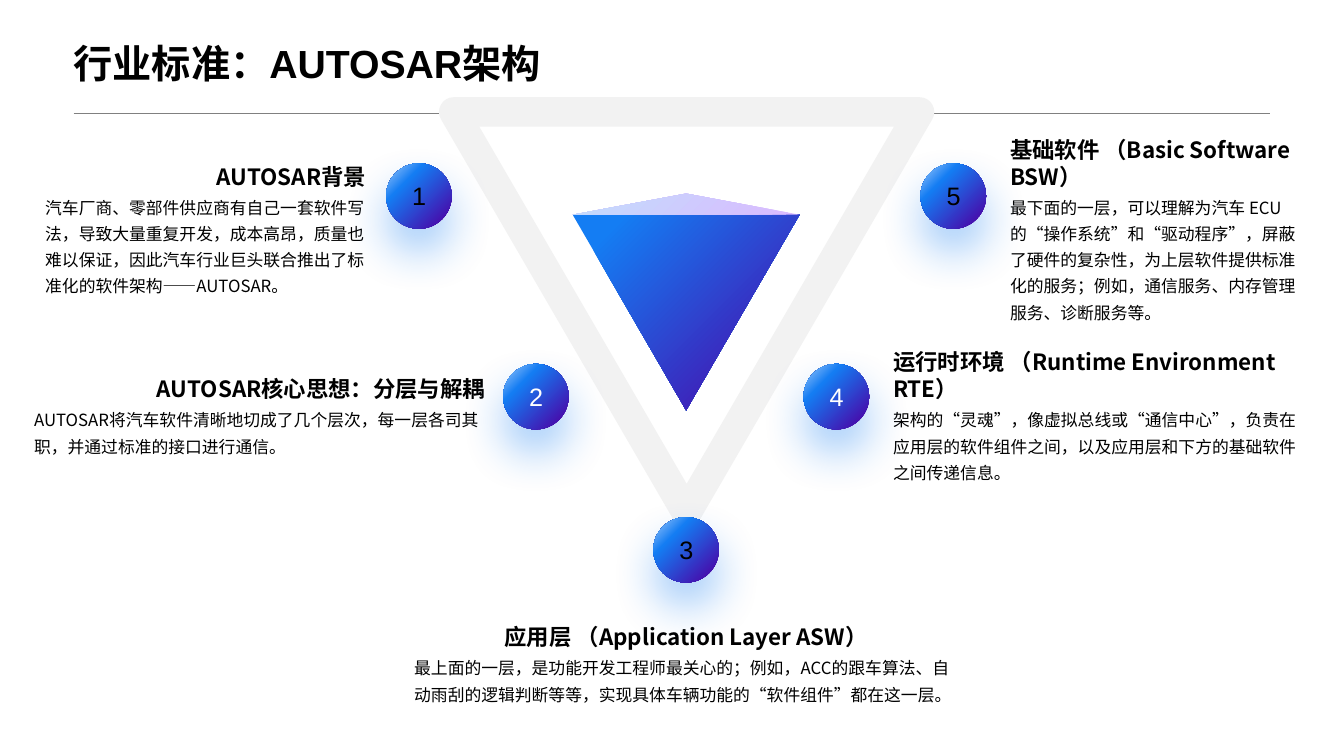
from lxml import etree
from pptx import Presentation
from pptx.dml.color import RGBColor
from pptx.enum import shapes, text
from pptx.oxml import parse_xml
from pptx.oxml.ns import nsdecls, qn
from pptx.util import Inches, Pt

BLACK = RGBColor(0x00, 0x00, 0x00)
WHITE = RGBColor(0xFF, 0xFF, 0xFF)
PALE_GREY = RGBColor(0xF2, 0xF2, 0xF2)
RULE_GREY = RGBColor(0x80, 0x80, 0x80)
LIGHT_BLUE = RGBColor(0xA6, 0xCE, 0xFA)
BLUE = RGBColor(0x14, 0x7D, 0xF3)
PURPLE = RGBColor(0x4D, 0x00, 0xA4)
LILAC = RGBColor(0xDA, 0xBA, 0xFF)
SKY = RGBColor(0xC2, 0xDD, 0xFC)

CJK_FONT = "Noto Sans CJK SC"
BALL = 0.65
RIGHT, CENTER, LEFT = text.PP_ALIGN.RIGHT, text.PP_ALIGN.CENTER, text.PP_ALIGN.LEFT

# number, number colour, ball position, text box (left, top, width, height), heading alignment, texts
TOPICS = [
    ("1", BLACK, (3.83, 1.62), (0.35, 1.56, 3.38, 1.42), RIGHT, "AUTOSAR背景",
     "汽车厂商、零部件供应商有自己一套软件写法，导致大量重复开发，成本高昂，质量也难以保证，"
     "因此汽车行业巨头联合推出了标准化的软件架构——AUTOSAR。"),
    ("2", WHITE, (4.99, 3.61), (0.24, 3.67, 4.67, 0.89), RIGHT, "AUTOSAR核心思想：分层与解耦",
     "AUTOSAR将汽车软件清晰地切成了几个层次，每一层各司其职，并通过标准的接口进行通信。"),
    ("3", BLACK, (6.48, 5.13), (4.01, 6.13, 5.59, 0.89), CENTER, "应用层 （Application Layer ASW）",
     "最上面的一层，是功能开发工程师最关心的；例如，ACC的跟车算法、自动雨刮的逻辑判断等等，"
     "实现具体车辆功能的“软件组件”都在这一层。"),
    ("4", WHITE, (7.97, 3.61), (8.76, 3.67, 4.26, 1.0), LEFT, "运行时环境 （Runtime Environment RTE）",
     "架构的“灵魂”，像虚拟总线或“通信中心”，负责在应用层的软件组件之间，"
     "以及应用层和下方的基础软件之间传递信息。"),
    ("5", BLACK, (9.13, 1.62), (9.92, 1.56, 3.1, 1.68), LEFT, "基础软件 （Basic Software BSW）",
     "最下面的一层，可以理解为汽车 ECU 的“操作系统”和“驱动程序”，屏蔽了硬件的复杂性，"
     "为上层软件提供标准化的服务；例如，通信服务、内存管理服务、诊断服务等。"),
]


def add_text(slide, box, content, size, font=CJK_FONT, color=BLACK, bold=False, align=LEFT,
             anchor=text.MSO_ANCHOR.TOP, spacing=None, grow=True, margins=True):
    tf = slide.shapes.add_textbox(*map(Inches, box)).text_frame
    tf.word_wrap = True
    tf.vertical_anchor = anchor
    tf.auto_size = text.MSO_AUTO_SIZE.SHAPE_TO_FIT_TEXT if grow else text.MSO_AUTO_SIZE.NONE
    if not margins:
        tf.margin_left = tf.margin_right = tf.margin_top = tf.margin_bottom = 0
    p = tf.paragraphs[0]
    p.alignment = align
    if spacing:
        p.line_spacing = spacing
    r = p.add_run()
    r.text = content
    r.font.size, r.font.bold, r.font.name = Pt(size), bold, font
    r.font.color.rgb = color
    r.font._element.find(qn("a:latin")).addnext(
        parse_xml(f'<a:ea {nsdecls("a")} typeface="{CJK_FONT}"/>'))


def add_plain_shape(slide, preset, box):
    sp = slide.shapes.add_shape(preset, *map(Inches, box))
    sp.shadow.inherit = False
    sp.line.fill.background()
    return sp


def set_gradient(sp, stops, angle=None):
    """Fill with (percent, colour) stops: linear at an angle, or radial from the top left."""
    if angle is None:
        course = '<a:path path="circle"><a:fillToRect r="100000" b="100000"/></a:path>'
    else:
        course = f'<a:lin ang="{angle * 60000}" scaled="0"/>'
    marks = "".join(f'<a:gs pos="{pos * 1000}"><a:srgbClr val="{color}"/></a:gs>'
                    for pos, color in stops)
    sp._element.spPr.find(qn("a:prstGeom")).addnext(parse_xml(
        f'<a:gradFill {nsdecls("a")} rotWithShape="1"><a:gsLst>{marks}</a:gsLst>{course}</a:gradFill>'))


def add_header(slide, left, top, width, height):
    rule = slide.shapes.add_connector(shapes.MSO_CONNECTOR.STRAIGHT, Inches(left), Inches(top + height),
                                      Inches(left + width), Inches(top + height))
    rule.line.color.rgb = RULE_GREY
    rule.line.width = Pt(0.25)
    etree.SubElement(rule._element.spPr, qn("a:effectLst"))
    add_text(slide, (left, top, width, height), "行业标准：AUTOSAR架构", 28, font="Arial", bold=True,
             anchor=text.MSO_ANCHOR.MIDDLE, spacing=1.25, grow=False, margins=False)


def add_pyramid(slide, left, top, width, height):
    """Thick triangular frame around a solid inverted pyramid with a thin top face."""
    triangle = shapes.MSO_SHAPE.ISOSCELES_TRIANGLE
    frame = add_plain_shape(slide, triangle, (left, top, width, height))
    frame.rotation = 180
    frame.fill.solid()
    frame.fill.fore_color.rgb = WHITE
    frame.line.color.rgb = PALE_GREY
    frame.line.width = Pt(21)
    etree.SubElement(frame.line._ln, qn("a:round"))

    core_left, core_top, core_width, cap = left + 1.18, top + 1.02, 2.25, 0.21
    core = add_plain_shape(slide, triangle, (core_left, core_top, core_width, 1.94))
    core.rotation = 180
    set_gradient(core, [(12, BLUE), (100, PURPLE)], 225)
    face = add_plain_shape(slide, triangle, (core_left, core_top - cap, core_width, cap))
    set_gradient(face, [(0, LILAC), (100, SKY)], 225)


def add_ball(slide, left, top, number, color):
    ball = add_plain_shape(slide, shapes.MSO_SHAPE.OVAL, (left, top, BALL, BALL))
    set_gradient(ball, [(0, LIGHT_BLUE), (29, BLUE), (95, PURPLE)])
    glow = parse_xml(
        f'<a:outerShdw {nsdecls("a")} blurRad="{Pt(33)}" dist="{Pt(17)}" dir="5400000" algn="t" '
        f'rotWithShape="0"><a:srgbClr val="{BLUE}"><a:alpha val="40000"/></a:srgbClr></a:outerShdw>')
    ball._element.spPr.find(qn("a:effectLst")).append(glow)
    add_text(slide, (left + 0.16, top + 0.12, 0.58, 0.4), number, 18, font="Arial", color=color)


def add_description(slide, left, top, width, height, align, heading, body):
    offset = 0.29
    add_text(slide, (left, top + offset, width, height - offset), body, 12, spacing=1.3)
    add_text(slide, (left, top, width, 0.37), heading, 16, bold=True, align=align,
             anchor=text.MSO_ANCHOR.BOTTOM)


def main():
    prs = Presentation()
    prs.slide_width, prs.slide_height = Inches(13.33), Inches(7.5)
    slide = prs.slides.add_slide(prs.slide_layouts[6])
    add_header(slide, 0.73, 0, 11.87, 1.12)
    add_pyramid(slide, 4.5, 1.11, 4.62, 3.98)
    for number, color, ball, box, align, heading, body in TOPICS:
        add_description(slide, *box, align, heading, body)
        add_ball(slide, *ball, number, color)
    prs.save("out.pptx")


if __name__ == "__main__":
    main()
